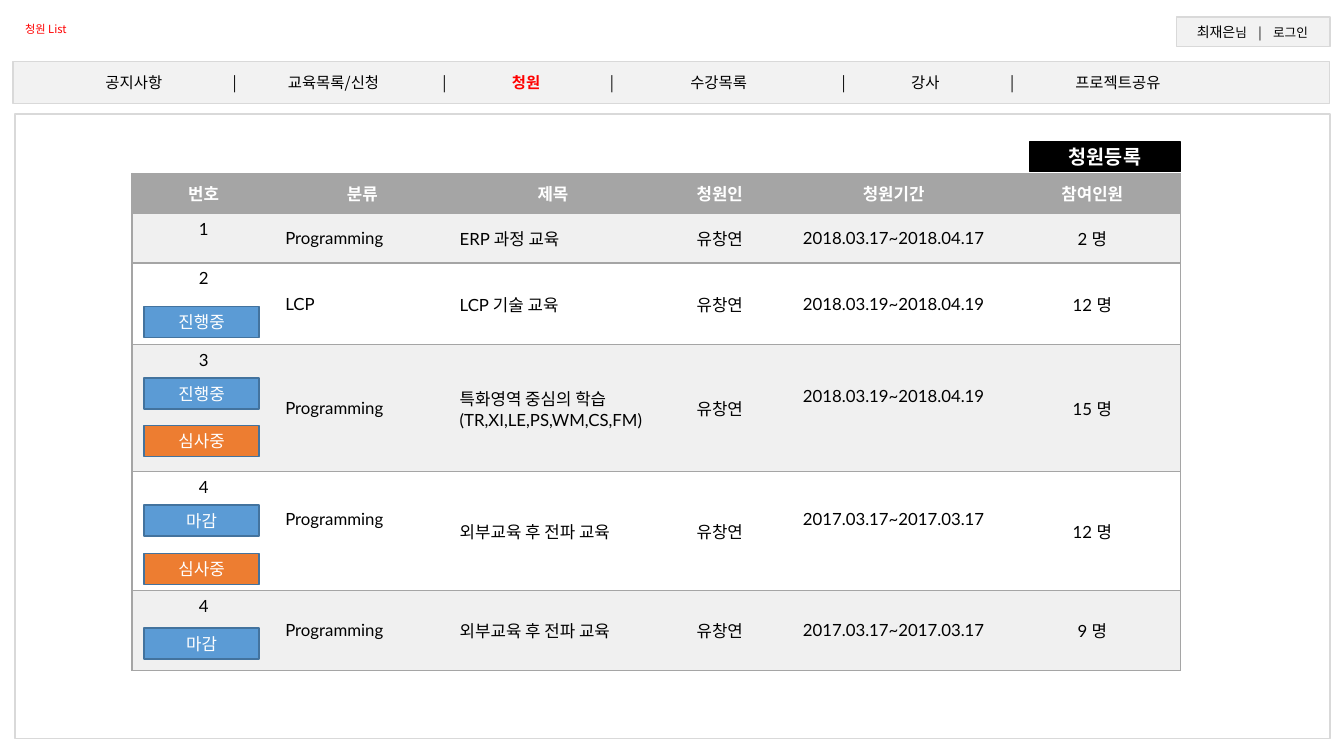
from dataclasses import dataclass
from typing import Any, NamedTuple, Optional

import pptx
import pptx.dml.color
import pptx.enum.shapes
import pptx.enum.text
import pptx.oxml.ns
import pptx.util
from lxml import etree

Inches = pptx.util.Inches
qn = pptx.oxml.ns.qn
ALIGN = pptx.enum.text.PP_ALIGN
ANCHOR = pptx.enum.text.MSO_ANCHOR


@dataclass(frozen=True)
class Theme:
    latin: str = "Lato"
    korean: str = "Noto Sans CJK KR"
    black: str = "000000"
    white: str = "FFFFFF"
    red: str = "FF0000"
    gray: str = "A5A5A5"
    band: str = "F0F0F0"
    bar: str = "F2F2F2"
    frame: str = "D9D9D9"
    blue: str = "5B9BD5"
    orange: str = "ED7D31"
    button_line: str = "43739E"
    tiny: float = 8
    small: float = 9
    user: float = 10
    menu: float = 11
    body: float = 12
    action: float = 14


T = Theme()


class Box(NamedTuple):
    left: float
    top: float
    width: float
    height: float


class Badge(NamedTuple):
    text: str
    top: float
    fill: str


class Stop(NamedTuple):
    text: str
    center: float
    size: float = T.menu
    color: str = T.black
    bold: bool = False


class Petition(NamedTuple):
    height: float
    number: str
    category: str
    title: str
    person: str
    period: str
    members: str
    raised: tuple[int, ...] = ()


# Content
BADGES = [
    Badge("진행중", 3.04, T.blue),
    Badge("진행중", 3.75, T.blue),
    Badge("심사중", 4.22, T.orange),
    Badge("마감", 5.01, T.blue),
    Badge("심사중", 5.49, T.orange),
    Badge("마감", 6.23, T.blue),
]
MENU = [
    Stop("공지사항", 1.33), Stop("|", 2.33),
    Stop("교육목록/신청", 3.31), Stop("|", 4.41),
    Stop("청원", 5.22, color=T.red, bold=True), Stop("|", 6.07),
    Stop("수강목록", 7.13), Stop("|", 8.37),
    Stop("강사", 9.18), Stop("|", 10.04),
    Stop("프로젝트공유", 11.09),
]
LOGIN = [
    Stop("최재은", 12.12, T.user), Stop("님", 12.12, T.small),
    Stop("|", 12.5, T.small), Stop("로그인", 12.8, T.small),
]
COLUMNS = [1.42, 1.73, 2.05, 1.26, 2.19, 1.75]
ROWS = [
    Petition(0.4, "번호", "분류", "제목", "청원인", "청원기간", "참여인원"),
    Petition(0.49, "1", "Programming", "ERP 과정 교육", "유창연",
             "2018.03.17~2018.04.17", "2 명"),
    Petition(0.81, "2", "LCP", "LCP 기술 교육", "유창연",
             "2018.03.19~2018.04.19", "12 명"),
    Petition(1.26, "3", "Programming", "특화영역 중심의 학습\n(TR,XI,LE,PS,WM,CS,FM)",
             "유창연", "2018.03.19~2018.04.19", "15 명", raised=(4,)),
    Petition(1.18, "4", "Programming", "외부교육 후 전파 교육", "유창연",
             "2017.03.17~2017.03.17", "12 명", raised=(1, 4)),
    Petition(0.79, "4", "Programming", "외부교육 후 전파 교육", "유창연",
             "2017.03.17~2017.03.17", "9 명"),
]


def rgb(color: str) -> pptx.dml.color.RGBColor:
    return pptx.dml.color.RGBColor.from_string(color)


def style_run(r: Any, size: float, color: str, bold: bool = False,
              latin: str = T.korean) -> None:
    r.font.size = pptx.util.Pt(size)
    r.font.bold = bold
    r.font.color.rgb = rgb(color)
    r.font.name = latin
    etree.SubElement(r.font._element, qn("a:ea"), typeface=T.korean)


def add_box(slide: Any, box: Box, fill: Optional[str], line: str, text: str = "",
            size: float = T.body, bold: bool = False) -> Any:
    sp = slide.shapes.add_shape(pptx.enum.shapes.MSO_SHAPE.RECTANGLE,
                                *(Inches(v) for v in box))
    sp.shadow.inherit = False
    if fill:
        sp.fill.solid()
        sp.fill.fore_color.rgb = rgb(fill)
    else:
        sp.fill.background()
    sp.line.color.rgb = rgb(line)
    sp.line.width = pptx.util.Pt(1)
    if text:
        tf = sp.text_frame
        tf.text = text
        tf.vertical_anchor = ANCHOR.MIDDLE
        tf.paragraphs[0].alignment = ALIGN.CENTER
        style_run(tf.paragraphs[0].runs[0], size, T.white, bold)
    return sp


def add_tabbed_bar(slide: Any, box: Box, stops: list[Stop]) -> None:
    """Centre each entry on its own tab stop; equal centres share one stop."""
    sp = add_box(slide, box, T.bar, T.frame)
    sp.text_frame.vertical_anchor = ANCHOR.MIDDLE
    p = sp.text_frame.paragraphs[0]
    p.alignment = ALIGN.LEFT
    tabs = etree.SubElement(p._p.get_or_add_pPr(), qn("a:tabLst"))
    previous = 0.0
    for stop in stops:
        r = p.add_run()
        r.text = stop.text
        if stop.center != previous:
            r.text = "\t" + stop.text
            offset = Inches(stop.center - box.left - 0.1)
            etree.SubElement(tabs, qn("a:tab"), pos=str(int(offset)), algn="ctr")
        style_run(r, stop.size, stop.color, stop.bold)
        previous = stop.center


def set_borders(cell: Any, visible: set[str]) -> None:
    tc_pr = cell._tc.get_or_add_tcPr()
    for side in "LRTB":
        ln = etree.SubElement(tc_pr, qn(f"a:ln{side}"), w="12700")
        if side in visible:
            fill = etree.SubElement(ln, qn("a:solidFill"))
            etree.SubElement(fill, qn("a:srgbClr"), val=T.gray)
        else:
            etree.SubElement(ln, qn("a:noFill"))


def add_petition_table(slide: Any, left: float, top: float) -> None:
    height = sum(row.height for row in ROWS)
    table = slide.shapes.add_table(len(ROWS), len(COLUMNS), Inches(left), Inches(top),
                                   Inches(sum(COLUMNS)), Inches(height)).table
    for j, width in enumerate(COLUMNS):
        table.columns[j].width = Inches(width)
    for i, row in enumerate(ROWS):
        table.rows[i].height = Inches(row.height)
        header = i == 0
        fill = T.gray if header else (T.band if i % 2 else T.white)
        for j, text in enumerate(row[1:7]):
            cell = table.cell(i, j)
            edges = {0: {"L"}, len(COLUMNS) - 1: {"R"}}.get(j, set())
            set_borders(cell, {"T", "B"} | edges)
            cell.fill.solid()
            cell.fill.fore_color.rgb = rgb(fill)
            cell.vertical_anchor = ANCHOR.TOP if j == 0 and not header else ANCHOR.MIDDLE
            if j in row.raised:
                cell.margin_bottom = Inches(0.3)
            cell.text_frame.text = text
            for p in cell.text_frame.paragraphs:
                p.alignment = ALIGN.LEFT if j in (1, 2) and not header else ALIGN.CENTER
                style_run(p.runs[0], T.body, T.white if header else T.black, header, T.latin)


def main() -> None:
    prs = pptx.Presentation()
    prs.slide_width, prs.slide_height = Inches(13.33), Inches(7.5)
    slide = prs.slides.add_slide(prs.slide_layouts[6])

    # Petition list with status badges
    add_petition_table(slide, 1.31, 1.72)
    for badge in BADGES:
        add_box(slide, Box(1.43, badge.top, 1.14, 0.31), badge.fill, T.button_line, badge.text)

    # Register button
    add_box(slide, Box(10.21, 1.41, 1.5, 0.29), T.black, T.black, "청원등록", T.action, True)

    # Page label
    sp = slide.shapes.add_textbox(Inches(0.15), Inches(0.17), Inches(2.9), Inches(0.24))
    sp.text_frame.word_wrap = True
    sp.text_frame.text = "청원 List"
    style_run(sp.text_frame.paragraphs[0].runs[0], T.tiny, T.red)

    # Login box, menu bar and page frame
    add_tabbed_bar(slide, Box(11.67, 0.17, 1.52, 0.29), LOGIN)
    add_tabbed_bar(slide, Box(0.13, 0.61, 13.06, 0.42), MENU)
    add_box(slide, Box(0.15, 1.13, 13.04, 6.2), None, T.frame)

    prs.save("out.pptx")


if __name__ == "__main__":
    main()
